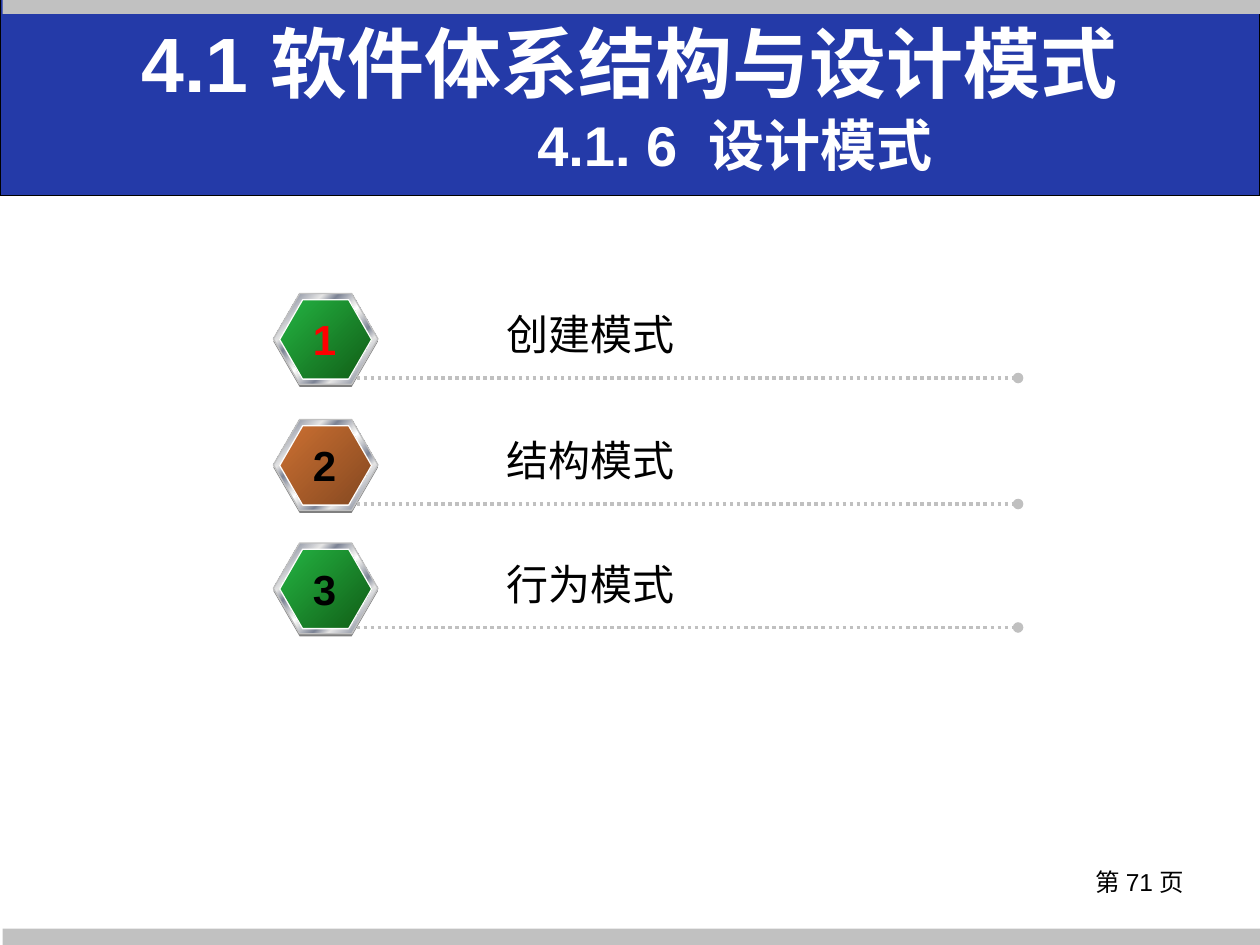
from dataclasses import dataclass
from lxml.etree import SubElement as Sub
from pptx import Presentation
from pptx.dml.color import RGBColor as RGB
from pptx.enum.dml import MSO_LINE as Dash
from pptx.enum.shapes import MSO_CONNECTOR as Link, MSO_SHAPE as Kind
from pptx.enum.text import MSO_ANCHOR as Anchor, MSO_AUTO_SIZE as Fit, PP_ALIGN as Align
from pptx.oxml.ns import qn
from pptx.util import Inches, Pt


@dataclass(frozen=True)
class Theme:
    font: str = "Arial"
    blue: str = "243AA8"
    bar: str = "C1C1C1"
    rule: str = "C0C0C0"
    shade: str = "808080"
    edge: str = "FEFEFE"
    black: str = "000000"
    white: str = "FFFFFF"
    red: str = "FF0000"
    green: tuple = ((0, "24B443"), (100, "115D16"))
    brown: tuple = ((0, "CC7032"), (100, "844820"))
    steel: tuple = (
        (0, "E6E6E6"), (8, "7D8496"), (26, "E6E6E6"), (34, "7D8496"),
        (46, "E6E6E6"), (50, "FFFFFF"), (54, "E6E6E6"), (66, "7D8496"),
        (74, "E6E6E6"), (92, "7D8496"), (100, "E6E6E6"))
    title: int = 44
    sub: int = 32
    body: int = 24
    small: int = 14


T = Theme()


def color(code):
    return RGB.from_string(code)


def blend(fill, stops):
    """Fill with a gradient running from top left to bottom right."""
    fill.gradient()
    fill.gradient_angle = 315
    rail = fill.gradient_stops[0]._gs.getparent()
    rail.clear()
    for pos, code in stops:
        stop = Sub(rail, qn("a:gs"), pos=str(pos * 1000))
        Sub(stop, qn("a:srgbClr"), val=code)


def shape(home, kind, box, fill, edge=None):
    item = home.add_shape(kind, *map(Inches, box))
    item.shadow.inherit = False
    if isinstance(fill, tuple):
        blend(item.fill, fill)
    else:
        item.fill.solid()
        item.fill.fore_color.rgb = color(fill)
    if edge:
        item.line.color.rgb = color(edge)
        item.line.width = Pt(0.75)
    else:
        item.line.fill.background()
    return item


def hexagon(home, box, fill, edge=None):
    shape(home, Kind.HEXAGON, box, fill, edge).adjustments[0] = 0.289


def style(para, size, ink, bold=False, align=Align.LEFT):
    para.alignment = align
    font = para.font
    font.name, font.size, font.bold = T.font, Pt(size), bold
    font.color.rgb = color(ink)


def label(home, box, text, size, ink, bold=False, align=Align.LEFT, wrap=False):
    frame = home.add_textbox(*map(Inches, box)).text_frame
    frame.word_wrap = wrap
    frame.auto_size = Fit.NONE if wrap else Fit.SHAPE_TO_FIT_TEXT
    frame.text = text
    style(frame.paragraphs[0], size, ink, bold, align)
    return frame


def dots(home, left, right, y):
    """Dotted rule with a round end."""
    rule = home.add_connector(
        Link.STRAIGHT, Inches(left), Inches(y), Inches(right), Inches(y))
    rule.line.color.rgb = color(T.rule)
    rule.line.width = Pt(2)
    rule.line.dash_style = Dash.ROUND_DOT
    Sub(rule.line._get_or_add_ln(), qn("a:tailEnd"), type="oval")
    Sub(rule._element.spPr, qn("a:effectLst"))


def entry(home, top, num, text, fill, ink):
    group = home.add_group_shape().shapes
    # Badge: shade, steel rim, coloured face
    hexagon(group, (2.17, top + 0.02, 0.83, 0.72), T.shade)
    hexagon(group, (2.17, top, 0.83, 0.72), T.steel, T.rule)
    hexagon(group, (2.22, top + 0.05, 0.73, 0.63), fill, T.edge)
    # Rule and words
    dots(group, 2.83, 8.08, top + 0.67)
    label(group, (3.92, top + 0.07, 1.53, 0.5), text, T.body, T.black)
    label(group, (2.38, top + 0.11, 0.39, 0.5), num, T.body, ink, True, Align.CENTER)


def heading(home):
    frame = label(home, (0.5, 0.23, 9, 1.25), "4.1 软件体系结构与设计模式",
                  T.title, T.white, True, Align.CENTER, True)
    frame.vertical_anchor = Anchor.MIDDLE
    sub = frame.add_paragraph()
    sub.text = "4.1. 6  设计模式"
    style(sub, T.sub, T.white, True, Align.CENTER)
    sub._p.get_or_add_pPr().set("marL", str(Inches(1.67)))
    for para in frame.paragraphs:
        para.line_spacing = Pt(40)


def main():
    deck = Presentation()
    deck.slide_width, deck.slide_height = Inches(10), Inches(7.5)
    home = deck.slides.add_slide(deck.slide_layouts[6]).shapes

    # Banner, bars and page number
    shape(home, Kind.RECTANGLE, (0, -0.02, 10, 1.57), T.blue, T.black)
    shape(home, Kind.RECTANGLE, (0.02, 7.37, 9.98, 0.13), T.bar)
    shape(home, Kind.RECTANGLE, (0.02, -0.01, 9.98, 0.12), T.bar)
    label(home, (7.17, 6.83, 2.33, 0.52), "第 71 页",
          T.small, T.black, align=Align.RIGHT, wrap=True)

    # Pattern kinds
    entry(home, 2.33, "1", "创建模式", T.green, T.red)
    entry(home, 3.33, "2", "结构模式", T.brown, T.black)
    entry(home, 4.31, "3", "行为模式", T.green, T.black)

    heading(home)
    deck.save("out.pptx")


if __name__ == "__main__":
    main()
